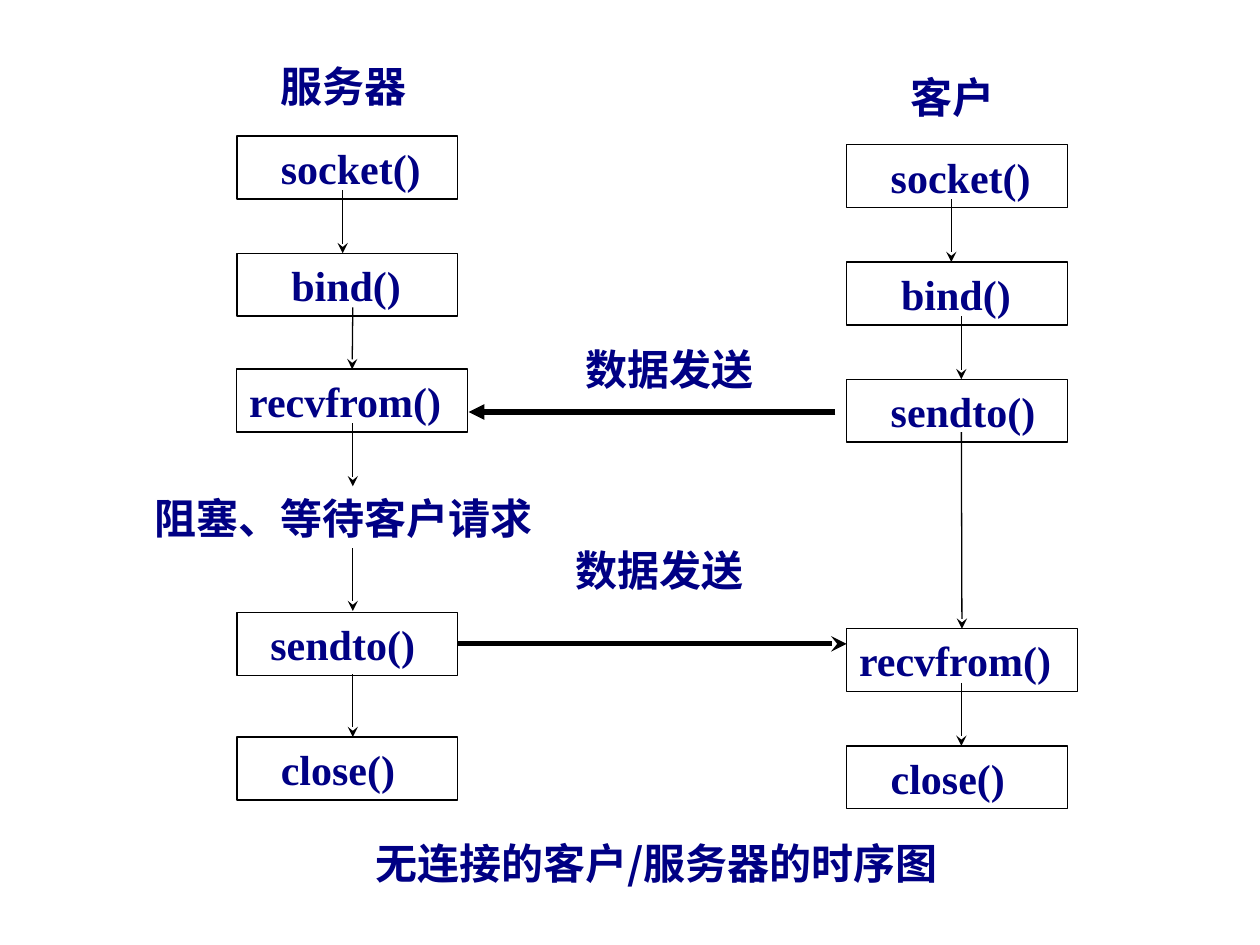
from lxml import etree
from pptx import Presentation
from pptx import util as u
from pptx.dml.color import RGBColor
from pptx.enum import shapes, text
from pptx.oxml.ns import qn

NAVY = RGBColor(0x00, 0x00, 0x84)
BLACK = RGBColor(0x00, 0x00, 0x00)
SERIF = "Times New Roman"
SANS = "Noto Sans CJK SC"
SPACE_WIDTH = 0.083
SERVER_LEFT, CLIENT_LEFT = 1.88, 6.72
BOX_HEIGHT = 0.5

presentation = Presentation()
presentation.slide_width = u.Inches(10)
presentation.slide_height = u.Inches(7.5)
slide = presentation.slides.add_slide(presentation.slide_layouts[6])


def write(shape, wording, font_name=SERIF, indent=0):
    frame = shape.text_frame
    frame.word_wrap = True
    frame.vertical_anchor = text.MSO_ANCHOR.TOP
    frame.margin_left = u.Inches(0.1 + indent * SPACE_WIDTH)
    frame.text = wording
    paragraph = frame.paragraphs[0]
    paragraph.alignment = text.PP_ALIGN.LEFT
    paragraph.font.name = font_name
    paragraph.font.size = u.Pt(24)
    paragraph.font.bold = True
    paragraph.font.color.rgb = NAVY


def add_arrow(start_x, start_y, end_x, end_y, width=0.75, head="stealth"):
    points = [u.Inches(value) for value in (start_x, start_y, end_x, end_y)]
    connector = slide.shapes.add_connector(shapes.MSO_CONNECTOR.STRAIGHT, *points)
    connector.line.color.rgb = BLACK
    connector.line.width = u.Pt(width)
    line = connector.line._get_or_add_ln()
    etree.SubElement(line, qn("a:tailEnd"), type=head)
    etree.SubElement(connector._element.spPr, qn("a:effectLst"))
    return connector


calls = [
    ("server", "socket()", 1.08, 1.75, 3),
    ("server", "bind()", 2.01, 1.75, 4),
    ("server", "recvfrom()", 2.93, 1.83, 0),
    ("server", "sendto()", 4.86, 1.75, 2),
    ("server", "close()", 5.85, 1.75, 3),
    ("client", "socket()", 1.15, 1.75, 3),
    ("client", "bind()", 2.08, 1.75, 4),
    ("client", "sendto()", 3.01, 1.75, 3),
    ("client", "recvfrom()", 4.99, 1.83, 0),
    ("client", "close()", 5.92, 1.75, 3),
]
boxes = {}
for side, call, top, width, indent in calls:
    left = SERVER_LEFT if side == "server" else CLIENT_LEFT
    box = slide.shapes.add_shape(
        shapes.MSO_SHAPE.RECTANGLE,
        u.Inches(left), u.Inches(top), u.Inches(width), u.Inches(BOX_HEIGHT))
    box.shadow.inherit = False
    box.fill.background()
    box.line.color.rgb = BLACK
    box.line.width = u.Pt(0.75)
    write(box, call, indent=indent)
    boxes[side, call] = box

labels = [
    ("服务器", 2.13, 0.43, 1.33, 0.5, SERIF),
    ("客户", 7.13, 0.52, 1.58, 0.5, SERIF),
    ("阻塞、等待客户请求", 1.13, 3.86, 3.67, 0.5, SERIF),
    ("数据发送", 4.55, 2.68, 1.83, 0.5, SERIF),
    ("数据发送", 4.47, 4.27, 1.83, 0.5, SERIF),
    ("无连接的客户/服务器的时序图", 2.88, 6.6, 4.75, 0.9, SANS),
]
for wording, left, top, width, height, font_name in labels:
    label = slide.shapes.add_textbox(
        u.Inches(left), u.Inches(top), u.Inches(width), u.Inches(height))
    write(label, wording, font_name)

steps = [
    (2.72, 1.51, 2.01, None),
    (2.8, 2.44, 2.93, ("server", "recvfrom()")),
    (2.8, 3.36, 3.86, None),
    (2.8, 4.35, 4.85, None),
    (2.8, 5.35, 5.85, None),
    (7.55, 1.58, 2.08, None),
    (7.63, 2.51, 3.01, None),
    (7.63, 3.43, 4.99, ("client", "recvfrom()")),
    (7.63, 5.42, 5.92, None),
]
for x, start_y, end_y, target in steps:
    arrow = add_arrow(x, start_y, x, end_y)
    if target:
        arrow.end_connect(boxes[target], 0)

add_arrow(6.63, 3.27, 3.72, 3.27, width=3, head="triangle")
reply = add_arrow(3.63, 5.11, 6.72, 5.11, width=3)
reply.begin_connect(boxes["server", "sendto()"], 3)

presentation.save("out.pptx")
